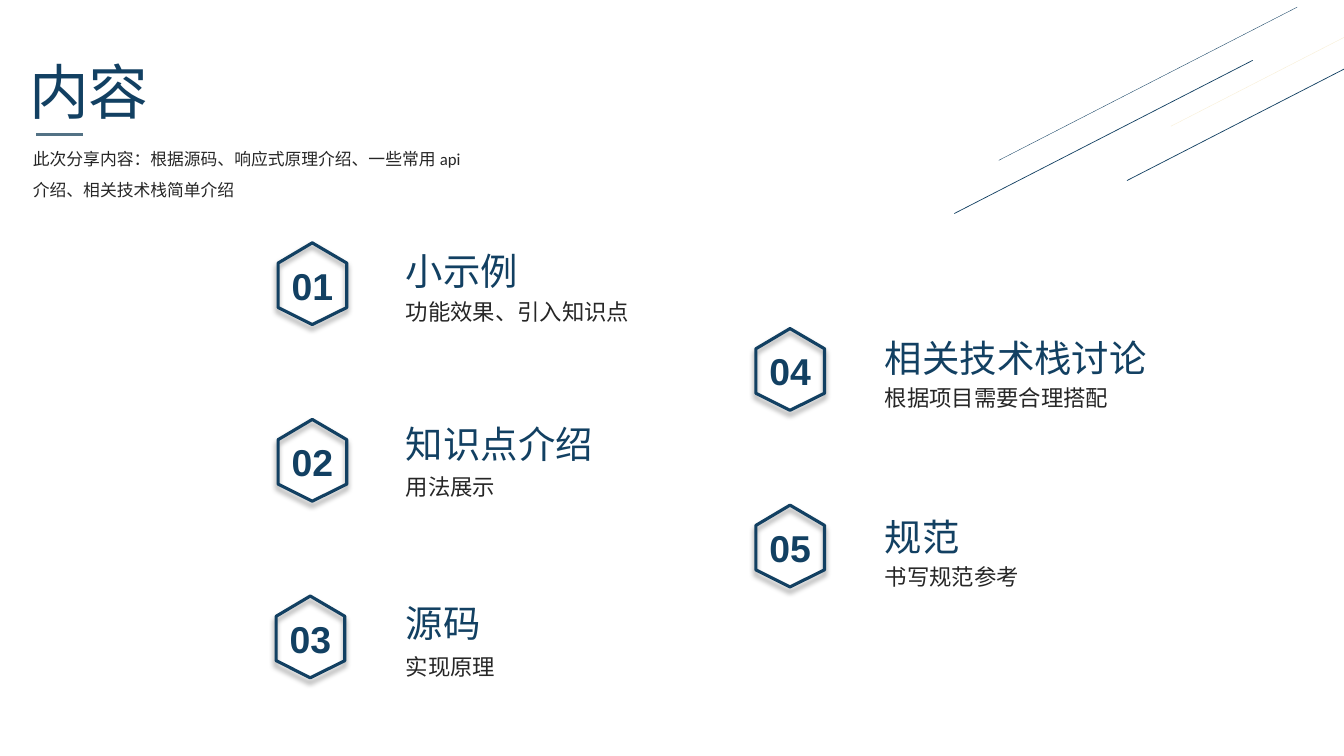
from lxml import etree
from pptx import Presentation
from pptx.dml.color import RGBColor
from pptx.enum.shapes import MSO_CONNECTOR
from pptx.enum.text import MSO_ANCHOR, MSO_AUTO_SIZE, PP_ALIGN
from pptx.oxml.ns import qn
from pptx.util import Cm, Pt

STRAIGHT = MSO_CONNECTOR.STRAIGHT
TOP = MSO_ANCHOR.TOP
NO_AUTOSIZE = MSO_AUTO_SIZE.NONE
LEFT, CENTER = PP_ALIGN.LEFT, PP_ALIGN.CENTER
TITLE_ONLY = 5

COLORS = {"navy": "124062", "slate": "537285", "gold": "DCAA1F", "text": "262626"}
CJK_FONT = "Noto Sans CJK SC"

HEXAGON = [(0.86, 0), (1.73, 0.51), (1.73, 1.63), (0.86, 2.06), (0, 1.63), (0, 0.51)]
ROW_STEP = 4.45
# text left, heading width, first hexagon top, entries;
# entry: number, hexagon left, heading top, heading, caption top, caption
COLUMNS = [
    (9.98, 6.63, 6.12, [
        ("01", 7.01, 6.12, "小示例", 7.39, "功能效果、引入知识点"),
        ("02", 7.01, 10.49, "知识点介绍", 11.79, "用法展示"),
        ("03", 6.96, 15.01, "源码", 16.33, "实现原理"),
    ]),
    (22.05, 7.75, 8.28, [
        ("04", 19.05, 8.33, "相关技术栈讨论", 9.55, "根据项目需要合理搭配"),
        ("05", 19.05, 12.83, "规范", 14.07, "书写规范参考"),
    ]),
]
# left, bottom, line width, colour, opacity in percent
DIAGONALS = [
    (24.05, 5.38, 0.5, "navy", 100),
    (25.17, 4.04, 0.25, "navy", 100),
    (28.4, 4.55, 0.5, "navy", 100),
    (29.51, 3.18, 0.25, "gold", 20),
]
DIAGONAL_RUN, DIAGONAL_RISE = 7.52, 3.86


def rgb(name):
    return RGBColor.from_string(COLORS[name])


def write_text(sp, text, size, color="navy", font=CJK_FONT, bold=False,
               align=LEFT, spacing=1.0, wrap=True):
    tf = sp.text_frame
    tf.word_wrap = wrap
    tf.auto_size = NO_AUTOSIZE
    tf.vertical_anchor = TOP
    p = tf.paragraphs[0]
    p.alignment = align
    p.line_spacing = spacing
    r = p.add_run()
    r.text = text
    r.font.size = Pt(size)
    r.font.name = font
    r.font.bold = bold
    r.font.color.rgb = rgb(color)
    etree.SubElement(r.font._element, qn("a:ea"), typeface=CJK_FONT)


def add_text(shapes, x, y, w, h, text, size, **fmt):
    sp = shapes.add_textbox(Cm(x), Cm(y), Cm(w), Cm(h))
    write_text(sp, text, size, **fmt)


def add_line(shapes, x1, y1, x2, y2, width, color, opacity=100):
    line = shapes.add_connector(STRAIGHT, Cm(x1), Cm(y1), Cm(x2), Cm(y2))
    line.line.width = Pt(width)
    line.line.color.rgb = rgb(color)
    sp_pr = line._element.spPr
    if opacity < 100:
        fill = sp_pr.find(".//" + qn("a:srgbClr"))
        etree.SubElement(fill, qn("a:alpha"), val=str(opacity * 1000))
    etree.SubElement(sp_pr, qn("a:effectLst"))


def add_shadow(sp):
    """Give the shape a soft black shadow straight below it."""
    sp.shadow.inherit = False
    effects = sp._element.spPr.find(qn("a:effectLst"))
    shadow = etree.SubElement(effects, qn("a:outerShdw"), blurRad=str(Pt(4)),
                              dist=str(Pt(3)), dir="5400000", algn="t", rotWithShape="0")
    black = etree.SubElement(shadow, qn("a:srgbClr"), val="000000")
    etree.SubElement(black, qn("a:alpha"), val="40000")


def add_badge(shapes, x, y, number):
    group = shapes.add_group_shape()
    points = [(Cm(x + dx), Cm(y + dy)) for dx, dy in HEXAGON]
    builder = group.shapes.build_freeform(*points[0])
    builder.add_line_segments(points[1:], close=True)
    sp = builder.convert_to_shape()
    sp.fill.background()
    sp.line.color.rgb = rgb("navy")
    sp.line.width = Pt(2.25)
    add_shadow(sp)
    add_text(group.shapes, x + 0.08, y + 0.38, 1.57, 1.4, number, 26.7,
             font="Arial", bold=True, align=CENTER, wrap=False)


def add_entry_text(shapes, x, width, heading_top, heading, caption_top, caption):
    group = shapes.add_group_shape()
    add_text(group.shapes, x, heading_top, width, 1.4, heading, 26.7)
    add_text(group.shapes, x, caption_top, 0.56 * len(caption) + 0.55, 0.94,
             caption, 16, color="text", wrap=False)


def add_title(shapes, text):
    title = shapes.title
    title.left, title.top, title.width, title.height = Cm(0.48), Cm(1.24), Cm(9.3), Cm(2.08)
    write_text(title, text, 42.7, font="Calibri")


def main():
    prs = Presentation()
    prs.slide_width, prs.slide_height = Cm(33.87), Cm(19.05)
    shapes = prs.slides.add_slide(prs.slide_layouts[TITLE_ONLY]).shapes

    add_title(shapes, "内容")
    add_line(shapes, 0.91, 3.38, 2.08, 3.38, 2.25, "slate")
    add_text(shapes, 0.58, 3.38, 11.71, 1.8,
             "此次分享内容：根据源码、响应式原理介绍、一些常用 api 介绍、相关技术栈简单介绍",
             12, color="text", font="Calibri", spacing=1.5)

    for x, y, width, color, opacity in DIAGONALS:
        add_line(shapes, x, y, x + DIAGONAL_RUN, y - DIAGONAL_RISE, width, color, opacity)

    for text_left, heading_width, first_top, entries in COLUMNS:
        for row, (number, badge_left, *texts) in enumerate(entries):
            add_badge(shapes, badge_left, first_top + row * ROW_STEP, number)
            add_entry_text(shapes, text_left, heading_width, *texts)

    prs.save("out.pptx")


if __name__ == "__main__":
    main()
